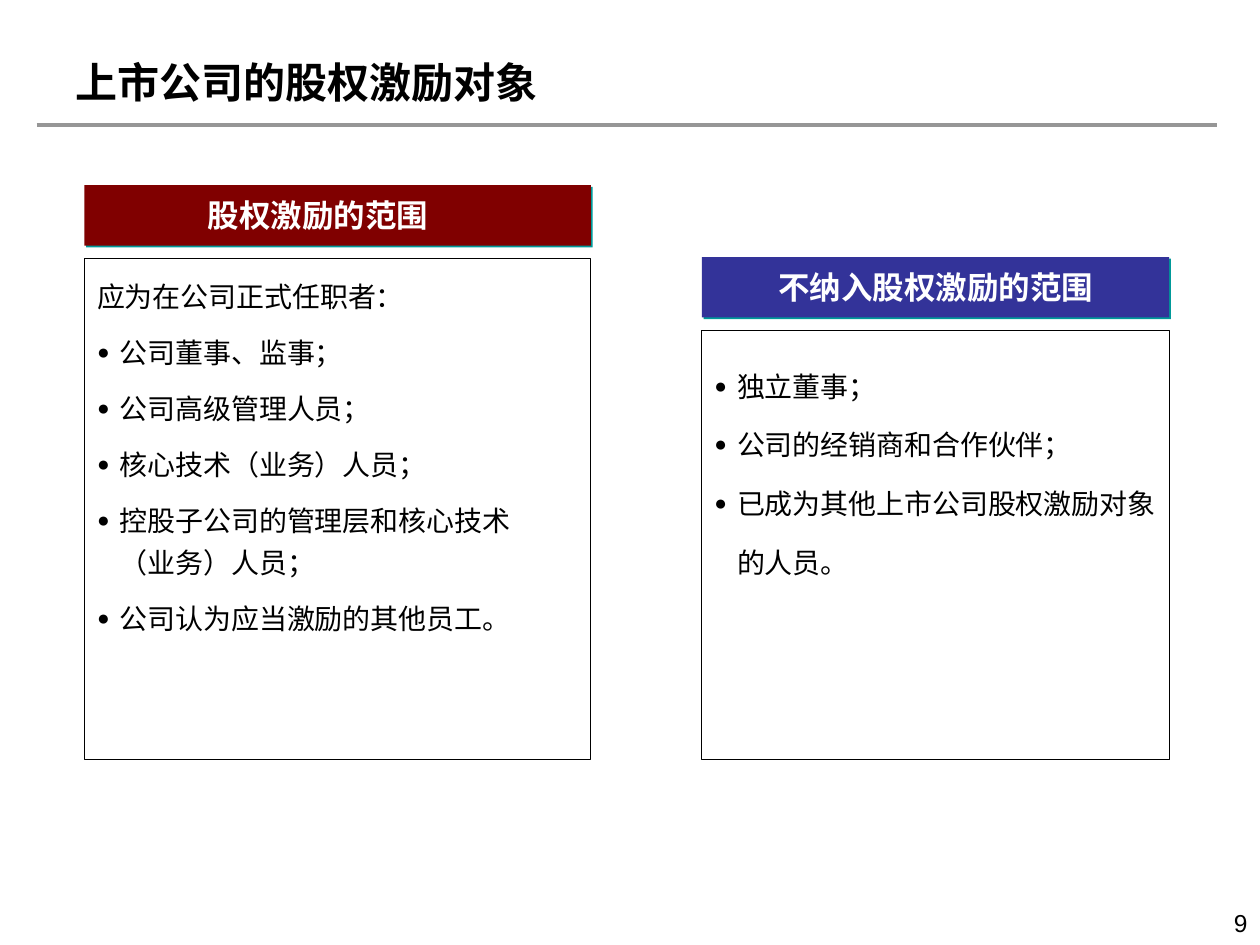
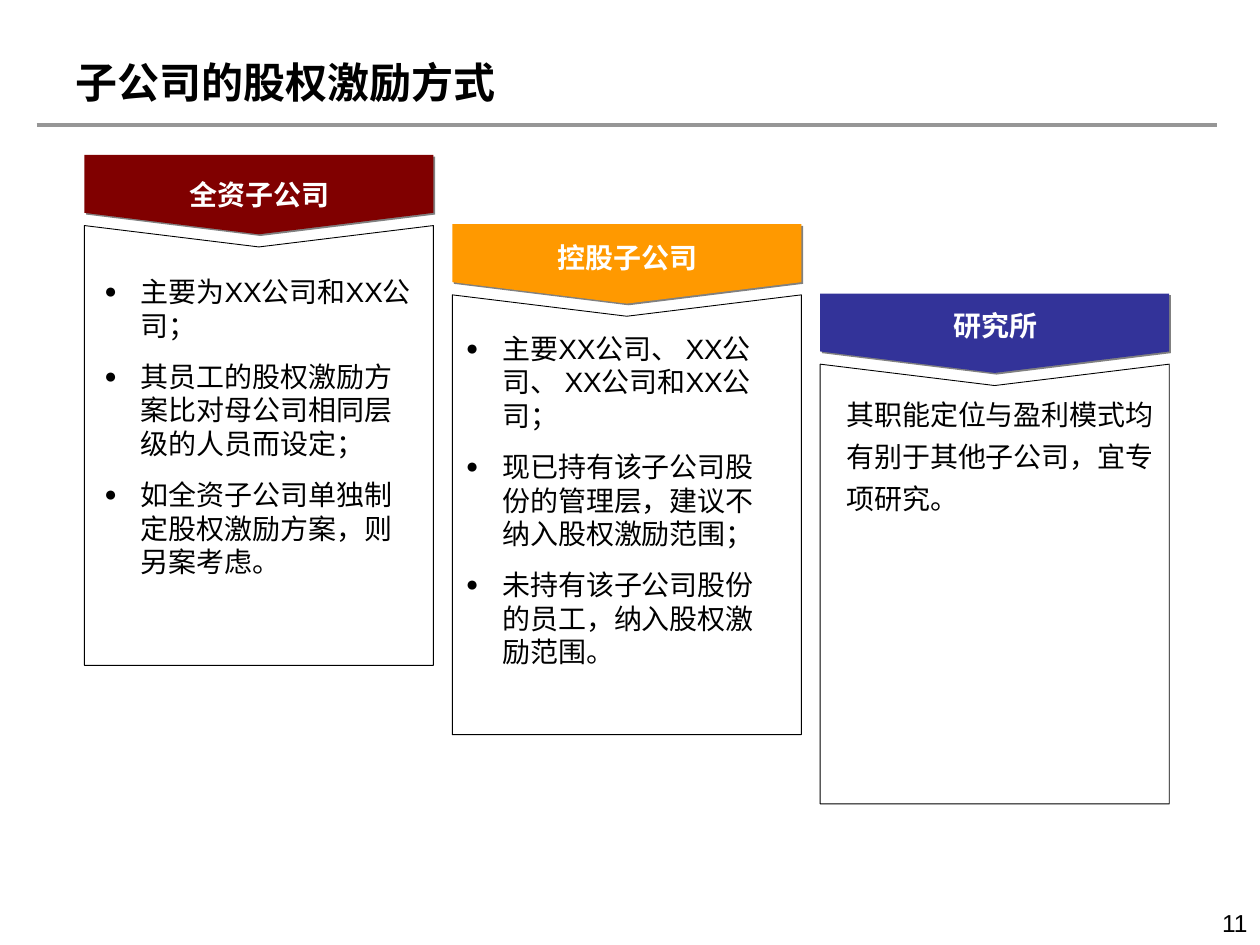
"""Builds two slides on who receives equity incentives and how subsidiaries handle them."""
from lxml import etree
from pptx import Presentation
from pptx.dml.color import RGBColor
from pptx.enum.shapes import MSO_CONNECTOR, MSO_SHAPE
from pptx.enum.text import MSO_ANCHOR, PP_ALIGN
from pptx.oxml.ns import qn
from pptx.util import Inches, Pt

LEFT, CENTER, RIGHT = PP_ALIGN.LEFT, PP_ALIGN.CENTER, PP_ALIGN.RIGHT
TOP, MIDDLE = MSO_ANCHOR.TOP, MSO_ANCHOR.MIDDLE
RECTANGLE, STRAIGHT = MSO_SHAPE.RECTANGLE, MSO_CONNECTOR.STRAIGHT

COLORS = {
    "text": "000000", "label": "FFFFFF", "rule": "969696",
    "maroon": "800000", "orange": "FF9900", "indigo": "333399",
    "teal_shadow": "009999", "gray_shadow": "808080",
}
LATIN, CJK = "Arial", "Noto Sans CJK SC"
BODY_SIZE = 16
LINE_HEIGHT = 1.2
PADDED, FLUSH = (0.1, 0.05), (0, 0)

SCOPE_TITLE, SCOPE_PAGE = "上市公司的股权激励对象", "9"
SCOPES = [
    {
        "heading": "股权激励的范围", "color": "maroon",
        "left": 0.67, "top": 1.47, "width": 4.02, "label_left": 0.94,
        "text_box": (0.77, 2.15, 3.68, 2.89), "spacing": 1.25, "gap": 4,
        "intro": "应为在公司正式任职者：",
        "items": [
            "公司董事、监事；",
            "公司高级管理人员；",
            "核心技术（业务）人员；",
            "控股子公司的管理层和核心技术（业务）人员；",
            "公司认为应当激励的其他员工。",
        ],
    },
    {
        "heading": "不纳入股权激励的范围", "color": "indigo",
        "left": 5.57, "top": 2.04, "width": 3.71, "label_left": 5.84,
        "text_box": (5.67, 2.73, 3.53, 1.86), "spacing": 1.75, "gap": 0,
        "intro": None,
        "items": [
            "独立董事；",
            "公司的经销商和合作伙伴；",
            "已成为其他上市公司股权激励对象的人员。",
        ],
    },
]
SCOPE_BOTTOM = 6.03
SCOPE_HEADER, SCOPE_BODY_OFFSET = 0.48, 0.58
SCOPE_LABEL_WIDTH, SCOPE_INDENT = 3.17, 0.18

SUBSIDIARY_TITLE, SUBSIDIARY_PAGE = "子公司的股权激励方式", "11"
SUBSIDIARIES = [
    {
        "heading": "全资子公司", "color": "maroon", "label_top": 1.41,
        "text_box": (0.73, 2.13, 2.66, 2.51),
        "items": [
            "主要为XX公司和XX公司；",
            "其员工的股权激励方案比对母公司相同层级的人员而设定；",
            "如全资子公司单独制定股权激励方案，则另案考虑。",
        ],
    },
    {
        "heading": "控股子公司", "color": "orange", "label_top": 1.91,
        "text_box": (3.6, 2.58, 2.66, 2.78),
        "items": [
            "主要XX公司、 XX公司、 XX公司和XX公司；",
            "现已持有该子公司股份的管理层，建议不纳入股权激励范围；",
            "未持有该子公司股份的员工，纳入股权激励范围。",
        ],
    },
    {
        "heading": "研究所", "color": "indigo", "label_top": 2.45,
        "text_box": (6.42, 3.04, 2.86, 1.51),
        "note": "其职能定位与盈利模式均有别于其他子公司，宜专项研究。",
    },
]
COLUMN_LEFT, COLUMN_WIDTH, COLUMN_STEP = 0.67, 2.77, 2.92
BANNER_TOP, BODY_TOP, STAIR_STEP = 1.23, 1.79, 0.55
BANNER_SIDE, POINT_DEPTH, BODY_HEIGHT = 0.46, 0.17, 3.49
SUBSIDIARY_INDENT, NOTE_INDENT = 0.29, 0.2


def rgb(name):
    return RGBColor.from_string(COLORS[name])


def add_text_box(slide, box, inset, anchor=TOP):
    frame = slide.shapes.add_textbox(*map(Inches, box)).text_frame
    frame.word_wrap = True
    frame.vertical_anchor = anchor
    frame.margin_left = frame.margin_right = Inches(inset[0])
    frame.margin_top = frame.margin_bottom = Inches(inset[1])
    return frame


def add_run(paragraph, text, size, color="text", bold=False, latin=LATIN):
    run = paragraph.add_run()
    run.text = text
    run.font.size = Pt(size)
    run.font.bold = bold
    run.font.name = latin
    run.font.color.rgb = rgb(color)
    east_asian = etree.SubElement(run.font._element, qn("a:ea"))
    east_asian.set("typeface", CJK)


def add_line_of_text(slide, box, text, size, align=LEFT, inset=FLUSH, anchor=MIDDLE,
                     color="text", bold=True):
    paragraph = add_text_box(slide, box, inset, anchor).paragraphs[0]
    paragraph.alignment = align
    add_run(paragraph, text, size, color, bold)


def set_indent(paragraph, left, first):
    properties = paragraph._p.get_or_add_pPr()
    properties.set("marL", str(Inches(left)))
    properties.set("indent", str(Inches(first)))
    return properties


def add_bullet(properties):
    color = etree.SubElement(properties, qn("a:buClr"))
    etree.SubElement(color, qn("a:srgbClr")).set("val", COLORS["text"])
    etree.SubElement(properties, qn("a:buSzPct")).set("val", "75000")
    etree.SubElement(properties, qn("a:buFont")).set("typeface", LATIN)
    etree.SubElement(properties, qn("a:buChar")).set("char", "●")


def add_body(slide, box, inset, items, indent, intro=None, spacing=1, before=0, after=0,
             latin=LATIN):
    frame = add_text_box(slide, box, inset)
    lines = ([intro] if intro else []) + items
    for index, line in enumerate(lines):
        paragraph = frame.add_paragraph() if index else frame.paragraphs[0]
        properties = set_indent(paragraph, indent, -indent)
        if line != intro:
            add_bullet(properties)
        paragraph.line_spacing = Pt(BODY_SIZE * LINE_HEIGHT * spacing)
        paragraph.space_before = Pt(before if index else 0)
        paragraph.space_after = Pt(after)
        add_run(paragraph, line, BODY_SIZE, latin=latin)


def style_banner(shape, color, shadow_color):
    shape.fill.solid()
    shape.fill.fore_color.rgb = rgb(color)
    shape.line.fill.background()
    shape.shadow.inherit = False
    effects = shape._element.spPr.find(qn("a:effectLst"))
    shadow = etree.SubElement(effects, qn("a:outerShdw"), blurRad="0", dist=str(Pt(1.4)),
                              dir="2700000", algn="ctr", rotWithShape="0")
    etree.SubElement(shadow, qn("a:srgbClr")).set("val", COLORS[shadow_color])


def style_frame(shape):
    shape.fill.background()
    shape.line.color.rgb = rgb("text")
    shape.line.width = Pt(0.5)
    shape.shadow.inherit = False


def add_polygon(slide, points):
    start, *others = [(Inches(x), Inches(y)) for x, y in points]
    builder = slide.shapes.build_freeform(*start)
    builder.add_line_segments(others, close=True)
    return builder.convert_to_shape()


def add_base_slide(deck, title, page):
    slide = deck.slides.add_slide(deck.slide_layouts[6])
    add_line_of_text(slide, (7.67, 7.16, 2.33, 0.34), page, 14, RIGHT, PADDED, TOP, bold=False)
    rule = slide.shapes.add_connector(STRAIGHT, *map(Inches, (0.29, 0.99, 9.66, 0.99)))
    rule.line.color.rgb = rgb("rule")
    rule.line.width = Pt(2.25)
    etree.SubElement(rule._element.spPr, qn("a:effectLst"))
    add_line_of_text(slide, (0.5, 0.3, 8, 0.69), title, 24, inset=PADDED)
    return slide


def add_scope(slide, scope):
    left, top, width = scope["left"], scope["top"], scope["width"]
    body_top = top + SCOPE_BODY_OFFSET
    banner = slide.shapes.add_shape(RECTANGLE, *map(Inches, (left, top, width, SCOPE_HEADER)))
    style_banner(banner, scope["color"], "teal_shadow")
    body = slide.shapes.add_shape(
        RECTANGLE, *map(Inches, (left, body_top, width, SCOPE_BOTTOM - body_top)))
    style_frame(body)
    add_line_of_text(slide, (scope["label_left"], top + 0.09, SCOPE_LABEL_WIDTH, 0.3),
                     scope["heading"], 18, CENTER, color="label")
    add_body(slide, scope["text_box"], FLUSH, scope["items"], SCOPE_INDENT, scope["intro"],
             scope["spacing"], scope["gap"], scope["gap"], CJK)


def add_subsidiary(slide, index, subsidiary):
    left = COLUMN_LEFT + index * COLUMN_STEP
    middle, right = left + COLUMN_WIDTH / 2, left + COLUMN_WIDTH
    top = BANNER_TOP + index * STAIR_STEP
    shoulder = top + BANNER_SIDE
    body_top = BODY_TOP + index * STAIR_STEP
    body_bottom = body_top + BODY_HEIGHT
    banner = add_polygon(slide, [(left, top), (right, top), (right, shoulder),
                                 (middle, shoulder + POINT_DEPTH), (left, shoulder)])
    style_banner(banner, subsidiary["color"], "gray_shadow")
    body = add_polygon(slide, [(left, body_top), (middle, body_top + POINT_DEPTH),
                               (right, body_top), (right, body_bottom), (left, body_bottom)])
    style_frame(body)
    add_line_of_text(slide, (left + 0.06, subsidiary["label_top"], 2.66, 0.27),
                     subsidiary["heading"], 16, CENTER, color="label")
    if "items" in subsidiary:
        add_body(slide, subsidiary["text_box"], PADDED, subsidiary["items"],
                 SUBSIDIARY_INDENT, before=10)
    else:
        note = add_text_box(slide, subsidiary["text_box"], PADDED).paragraphs[0]
        set_indent(note, NOTE_INDENT, 0)
        note.line_spacing = Pt(BODY_SIZE * LINE_HEIGHT * 1.25)
        add_run(note, subsidiary["note"], BODY_SIZE)


def main():
    deck = Presentation()
    deck.slide_width, deck.slide_height = Inches(10), Inches(7.5)
    scope_slide = add_base_slide(deck, SCOPE_TITLE, SCOPE_PAGE)
    for scope in SCOPES:
        add_scope(scope_slide, scope)
    subsidiary_slide = add_base_slide(deck, SUBSIDIARY_TITLE, SUBSIDIARY_PAGE)
    for index, subsidiary in enumerate(SUBSIDIARIES):
        add_subsidiary(subsidiary_slide, index, subsidiary)
    deck.save("out.pptx")


if __name__ == "__main__":
    main()
